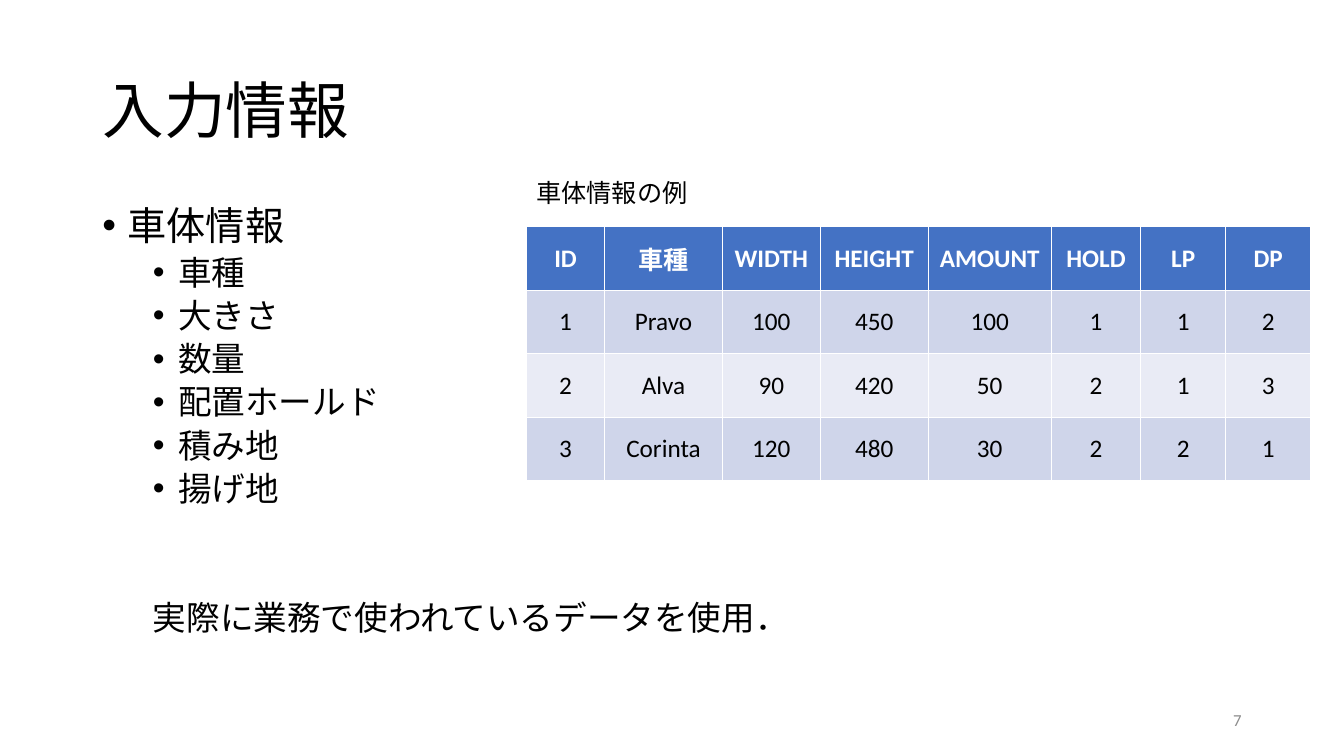
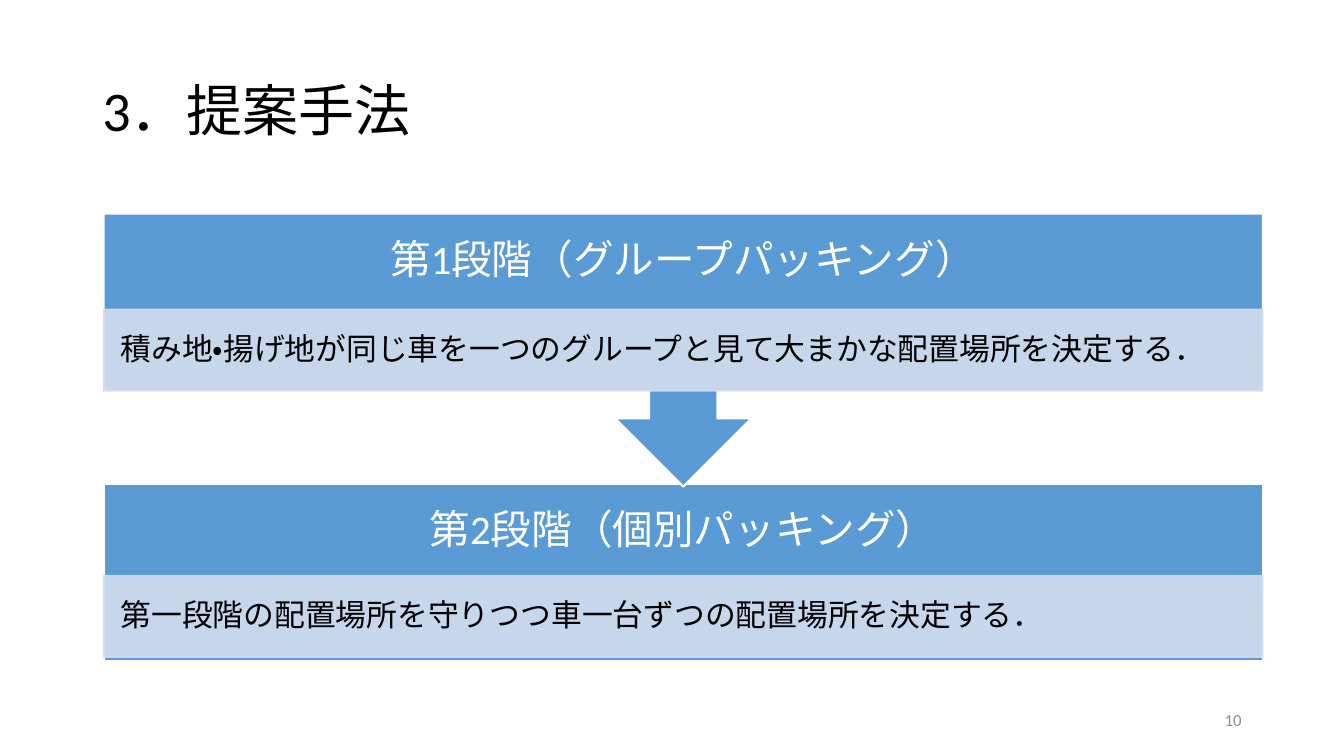
import pptx
import pptx.util
import pptx.dml.color
import pptx.enum.lang
import pptx.enum.shapes
import pptx.enum.text
import pptx.oxml.ns
import lxml.etree

Pt = pptx.util.Pt
Shape = pptx.enum.shapes.MSO_SHAPE
Align = pptx.enum.text.PP_ALIGN
Anchor = pptx.enum.text.MSO_ANCHOR
Fit = pptx.enum.text.MSO_AUTO_SIZE
qn = pptx.oxml.ns.qn

BLACK, WHITE, GREY = "000000", "FFFFFF", "8C8C8C"
BLUE, PALE = "5B9BD5", "D2DEEF"
HEAD, BANDS = "4472C4", ("CFD5EA", "E9EBF5")
LEFT, WIDE = 66, 828
FONT = dict(name="Calibri", bold=False,
            language_id=pptx.enum.lang.MSO_LANGUAGE_ID.JAPANESE)


def rgb(code):
    return pptx.dml.color.RGBColor.from_string(code)


def apply(item, values):
    for key, value in values.items():
        setattr(item, key, value)


def fade(fill, percent):
    """Make a solid fill partly see-through."""
    for color in fill.iter(qn("a:srgbClr")):
        alpha = lxml.etree.SubElement(color, qn("a:alpha"))
        alpha.set("val", str(percent * 1000))


class Deck:
    def __init__(self):
        self.file = pptx.Presentation()
        apply(self.file, dict(slide_width=Pt(960), slide_height=Pt(540)))
        self.slide = None

    # Slide with title and number
    def page(self, layout, title, size, number):
        self.slide = self.file.slides.add_slide(self.file.slide_layouts[layout])
        head = self.slide.shapes.title
        self.place(head, (LEFT, 29, WIDE, 104.4))
        self.frame(head.text_frame, vertical_anchor=Anchor.MIDDLE)
        self.words(head.text_frame.paragraphs[0], title, size,
                   alignment=Align.LEFT, line_spacing=0.9)
        self.text((678, 500.4, 216, 28.8), number, 12, GREY, Align.RIGHT)

    def place(self, shape, box):
        sides = ("left", "top", "width", "height")
        apply(shape, {side: Pt(size) for side, size in zip(sides, box)})

    def frame(self, frame, **values):
        apply(frame, dict(word_wrap=True, auto_size=Fit.NONE) | values)

    def words(self, para, text, size, color=BLACK, bold=False, **values):
        run = para.add_run()
        run.text = text
        apply(run.font, FONT | dict(size=Pt(size), bold=bold))
        run.font.color.rgb = rgb(color)
        apply(para, values)

    # Plain text box
    def text(self, box, text, size, color=BLACK, align=Align.LEFT, **values):
        shape = self.slide.shapes.add_textbox(*map(Pt, box))
        self.frame(shape.text_frame, vertical_anchor=Anchor.MIDDLE, **values)
        self.words(shape.text_frame.paragraphs[0], text, size, color,
                   alignment=align, line_spacing=0.9)

    # Bulleted list; rows are (level, mark, gap, text)
    def list(self, box, rows):
        body = self.slide.placeholders[1]
        self.place(body, box)
        self.frame(body.text_frame)
        for row, (level, mark, gap, text) in enumerate(rows):
            frame = body.text_frame
            para = frame.add_paragraph() if row else frame.paragraphs[0]
            self.words(para, text, 24 if level else 28, level=level,
                       line_spacing=0.9, space_before=Pt(gap))
            props = para._p.get_or_add_pPr()
            hang = Pt(18) if mark else 0
            props.set("marL", str(Pt(36 * level) + hang))
            props.set("indent", str(-hang))
            if mark:
                font = lxml.etree.SubElement(props, qn("a:buFont"))
                font.set("typeface", "Arial")
                lxml.etree.SubElement(props, qn("a:buChar")).set("char", mark)
            else:
                lxml.etree.SubElement(props, qn("a:buNone"))

    # Table with a header row and banded rows
    def table(self, left, top, widths, high, rows):
        box = (left, top, sum(widths), high * len(rows))
        grid = self.slide.shapes.add_table(
            len(rows), len(widths), *map(Pt, box)).table
        for col, width in zip(grid.columns, widths):
            col.width = Pt(width)
        for r, row in enumerate(rows):
            for c, text in enumerate(row):
                cell = grid.cell(r, c)
                cell.vertical_anchor = Anchor.MIDDLE
                cell.fill.solid()
                cell.fill.fore_color.rgb = rgb(BANDS[(r - 1) % 2] if r else HEAD)
                self.words(cell.text_frame.paragraphs[0], text, 18,
                           BLACK if r else WHITE, not r, alignment=Align.CENTER)

    # Filled shape with an outline
    def shape(self, kind, box, fill, line, weight, turn=0):
        shape = self.slide.shapes.add_shape(kind, *map(Pt, box))
        shape.shadow.inherit = False
        shape.rotation = turn
        shape.fill.solid()
        shape.fill.fore_color.rgb = rgb(fill)
        shape.line.color.rgb = rgb(line)
        shape.line.width = Pt(weight)
        return shape

    # Process step: heading over a pale detail strip
    def step(self, kind, top, high, drop, turn, head, detail):
        left = 74
        self.shape(kind, (left, top, WIDE, high), BLUE, WHITE, 1.5, turn)
        self.text((left, top, WIDE, 68.4), head, 29, WHITE, Align.CENTER)
        strip = self.shape(Shape.RECTANGLE, (left, top + drop, WIDE, 58.3),
                           PALE, PALE, 1)
        fade(strip._element.spPr, 90)
        self.frame(strip.text_frame, vertical_anchor=Anchor.MIDDLE,
                   margin_left=Pt(12.2), margin_right=Pt(12.2),
                   margin_top=Pt(2), margin_bottom=Pt(2))
        self.words(strip.text_frame.paragraphs[0], detail, 22,
                   alignment=Align.LEFT, line_spacing=0.9)


def main():
    deck = Deck()

    # Input data
    deck.page(1, "入力情報", 44, "7")
    parts = ("車種", "大きさ", "数量", "配置ホールド", "積み地", "揚げ地")
    deck.list((LEFT, 144, WIDE, 342.7), [
        (0, "•", 10, "車体情報"),
        *((1, "•", 5, part) for part in parts),
        (1, "", 66.5, "実際に業務で使われているデータを使用．")])
    deck.table(376, 162, (56, 84, 70, 77, 88, 64, 60.5, 61), 45.4, (
        ("ID", "車種", "WIDTH", "HEIGHT", "AMOUNT", "HOLD", "LP", "DP"),
        ("1", "Pravo", "100", "450", "100", "1", "1", "2"),
        ("2", "Alva", "90", "420", "50", "2", "1", "3"),
        ("3", "Corinta", "120", "480", "30", "2", "2", "1")))
    deck.text((376, 124, 124, 29), "車体情報の例", 18, word_wrap=False)

    # Two-step method, the upper step pointing at the lower
    deck.page(5, "3．提案手法", 40, "10")
    deck.step(Shape.RECTANGLE, 345.6, 126.7, 65.5, 0,
              "第2段階（個別パッキング）",
              "第一段階の配置場所を守りつつ車一台ずつの配置場所を決定する．")
    deck.step(Shape.UP_ARROW_CALLOUT, 152.6, 195, 68.4, 180,
              "第1段階（グループパッキング）",
              "積み地・揚げ地が同じ車を一つのグループと見て大まかな配置場所を決定する．")

    deck.file.save("out.pptx")


if __name__ == "__main__":
    main()
